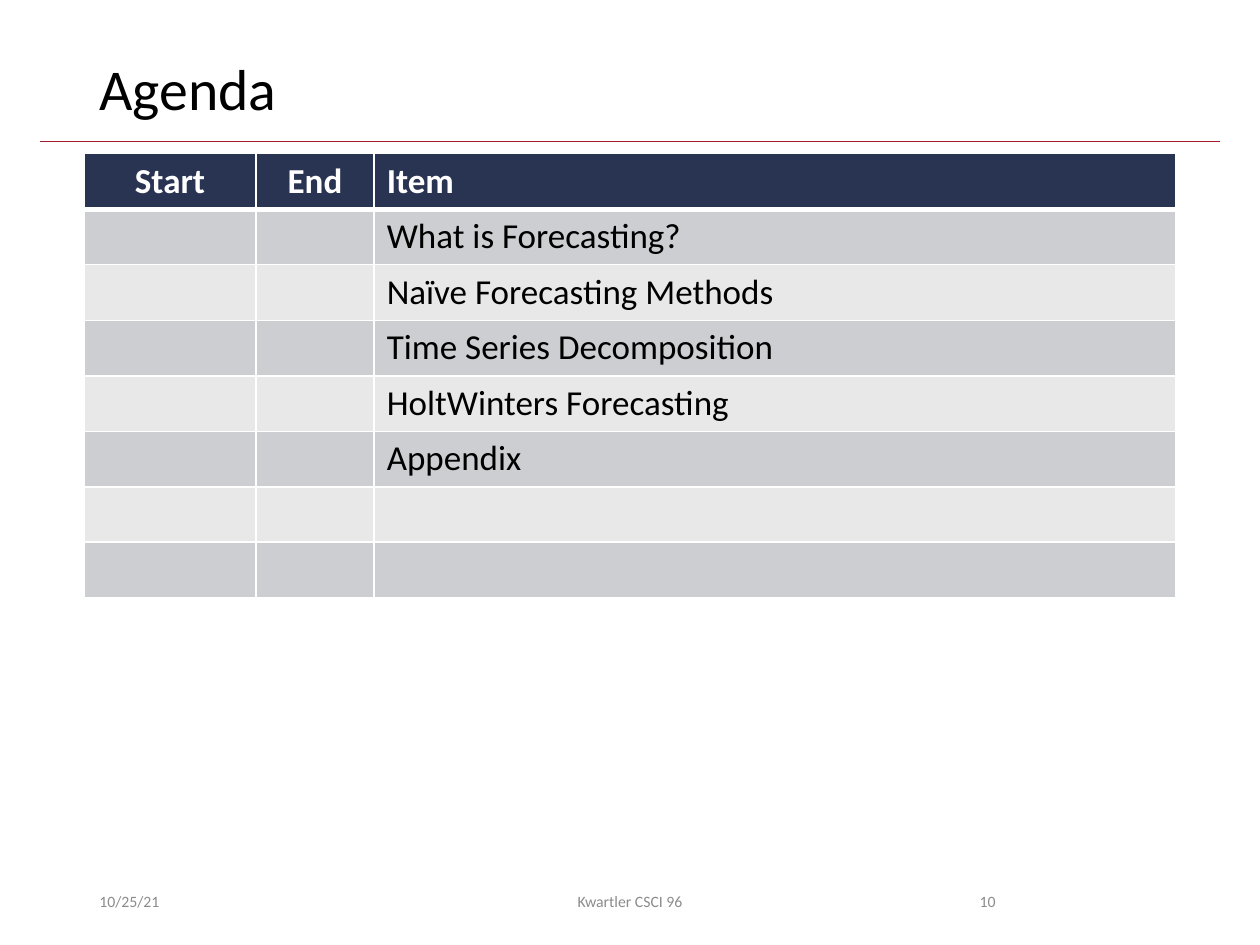
from lxml.etree import SubElement
from pptx import Presentation
from pptx.dml.color import RGBColor
from pptx.enum.shapes import MSO_CONNECTOR
from pptx.enum.text import MSO_ANCHOR, PP_ALIGN
from pptx.oxml.ns import qn
from pptx.util import Inches, Pt


def color(hex_code):
    return RGBColor.from_string(hex_code)


class AgendaSlide:
    FONT = "Calibri"
    BLACK, WHITE, GREY = "000000", "FFFFFF", "8C8C8C"
    NAVY, CRIMSON = "293352", "A51C30"
    BANDS = ("CDCED1", "E8E8E9")

    def __init__(self, deck):
        self.slide = deck.slides.add_slide(deck.slide_layouts[5])

    def add_text(self, frame, text, size, hex_code, align=PP_ALIGN.LEFT, bold=False):
        frame.word_wrap = True
        frame.vertical_anchor = MSO_ANCHOR.MIDDLE
        paragraph = frame.paragraphs[0]
        paragraph.alignment = align
        run = paragraph.add_run()
        run.text = text
        run.font.name, run.font.size, run.font.bold = self.FONT, Pt(size), bold
        run.font.color.rgb = color(hex_code)
        return paragraph

    def title(self, text, left, top, width, height):
        heading = self.slide.shapes.title
        heading.left, heading.top = Inches(left), Inches(top)
        heading.width, heading.height = Inches(width), Inches(height)
        self.add_text(heading.text_frame, text, 33, self.BLACK).line_spacing = 0.9

    def rule(self, left, right, y):
        line = self.slide.shapes.add_connector(
            MSO_CONNECTOR.STRAIGHT, Inches(left), Inches(y), Inches(right), Inches(y))
        line.line.color.rgb = color(self.CRIMSON)
        line.line.width = Pt(0.5)
        SubElement(line._element.spPr, qn("a:effectLst"))

    def borders(self, cell, **widths):
        properties = cell._tc.get_or_add_tcPr()
        for position, (side, width) in enumerate(widths.items()):
            edge = properties.makeelement(qn(f"a:{side}"), {"w": str(Pt(width))})
            fill = SubElement(edge, qn("a:solidFill"))
            SubElement(fill, qn("a:srgbClr"), val=self.WHITE)
            properties.insert(position, edge)

    def table(self, rows, left, top, widths, row_height):
        grid = self.slide.shapes.add_table(
            len(rows), len(widths), Inches(left), Inches(top),
            Inches(sum(widths)), Inches(row_height * len(rows))).table
        for column, width in zip(grid.columns, widths):
            column.width = Inches(width)
        for r, row in enumerate(rows):
            header = r == 0
            grid.rows[r].height = Inches(row_height)
            for c, text in enumerate(row):
                cell = grid.cell(r, c)
                cell.fill.solid()
                cell.fill.fore_color.rgb = color(
                    self.NAVY if header else self.BANDS[(r - 1) % 2])
                self.borders(cell, lnL=1, lnR=1, lnT=3 if r == 1 else 1,
                             lnB=3 if header else 1)
                if text:
                    self.add_text(cell.text_frame, text, 20,
                                  self.WHITE if header else self.BLACK,
                                  PP_ALIGN.CENTER if c < 2 else PP_ALIGN.LEFT, header)
                    cell.vertical_anchor = MSO_ANCHOR.TOP

    def footer(self, text, left, width, align):
        box = self.slide.shapes.add_textbox(
            Inches(left), Inches(6.95), Inches(width), Inches(0.4))
        self.add_text(box.text_frame, text, 9, self.GREY, align)


deck = Presentation()
deck.slide_width, deck.slide_height = Inches(10), Inches(7.5)
agenda = AgendaSlide(deck)

# Heading
agenda.rule(0.32, 9.68, 1.12)
agenda.title("Agenda", 0.69, 0.4, 8.62, 0.65)

# Schedule: times are still open, the last two rows are free
topics = ["What is Forecasting?", "Naïve Forecasting Methods",
          "Time Series Decomposition", "HoltWinters Forecasting", "Appendix", "", ""]
schedule = [("Start", "End", "Item")] + [("", "", topic) for topic in topics]
agenda.table(schedule, 0.67, 1.22, (1.36, 0.94, 6.36), 0.44)

# Footer
agenda.footer("10/25/21", 0.69, 2.25, PP_ALIGN.LEFT)
agenda.footer("Kwartler CSCI 96", 3.31, 3.38, PP_ALIGN.CENTER)
agenda.footer("10", 7.06, 0.94, PP_ALIGN.RIGHT)

deck.save("out.pptx")
